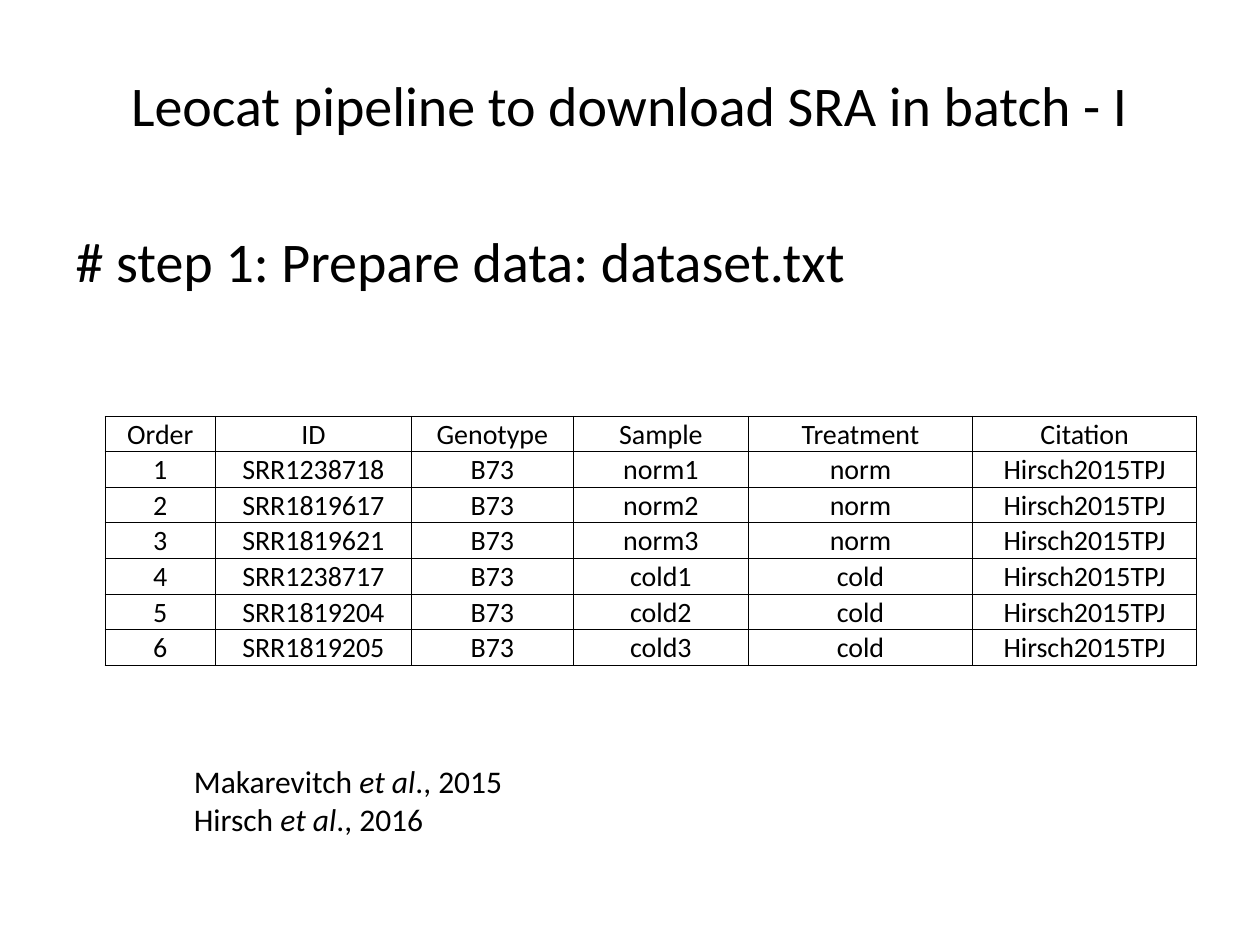
from lxml import etree
from pptx import Presentation
from pptx import util as u
from pptx.dml.color import RGBColor
from pptx.enum import text
from pptx.oxml.ns import qn

Pt = u.Pt
COLORS = {"text": "000000", "border": "000000"}
FONT = "Calibri"


def style(p, size):
    """Give every run of a paragraph the slide's font, size and colour."""
    for r in p.runs:
        r.font.name = FONT
        r.font.size = Pt(size)
        r.font.color.rgb = RGBColor.from_string(COLORS["text"])


def add_borders(cell, width):
    """Draw a solid line on all four sides of a table cell."""
    tcPr = cell._tc.get_or_add_tcPr()
    for side in ("lnL", "lnR", "lnT", "lnB"):
        ln = etree.SubElement(tcPr, qn("a:" + side), w=str(int(Pt(width))))
        fill = etree.SubElement(ln, qn("a:solidFill"))
        etree.SubElement(fill, qn("a:srgbClr"), val=COLORS["border"])


prs = Presentation()
prs.slide_width, prs.slide_height = Pt(720), Pt(540)
s = prs.slides.add_slide(prs.slide_layouts[1])

# Title and step heading
title, step = s.shapes.title, s.placeholders[1]
headings = [
    (title, "Leocat pipeline to download SRA in batch - I", 21.6, 75.6),
    (step, "# step 1: Prepare data: dataset.txt", 126, 54.7),
]
for sp, words, top, height in headings:
    sp.left, sp.top, sp.width, sp.height = Pt(36), Pt(top), Pt(648), Pt(height)
    sp.text_frame.text = words
    style(sp.text_frame.paragraphs[0], 32)
title.text_frame.vertical_anchor = text.MSO_ANCHOR.MIDDLE
title.text_frame.paragraphs[0].alignment = text.PP_ALIGN.CENTER
pPr = step.text_frame.paragraphs[0]._p.get_or_add_pPr()
pPr.set("marL", "0")
pPr.set("indent", "0")
etree.SubElement(pPr, qn("a:buNone"))

# Dataset table
samples = [
    ("SRR1238718", "norm1"),
    ("SRR1819617", "norm2"),
    ("SRR1819621", "norm3"),
    ("SRR1238717", "cold1"),
    ("SRR1819204", "cold2"),
    ("SRR1819205", "cold3"),
]
rows = [("Order", "ID", "Genotype", "Sample", "Treatment", "Citation")]
for order, (run_id, sample) in enumerate(samples, 1):
    rows.append((str(order), run_id, "B73", sample, sample[:-1], "Hirsch2015TPJ"))
col_widths = [63.2, 111.8, 92.7, 100, 128.1, 128.1]
row_height = 18.7
table = s.shapes.add_table(
    len(rows), len(col_widths), Pt(60), Pt(237.8),
    Pt(sum(col_widths)), Pt(row_height * len(rows)),
).table
table.first_row = table.horz_banding = False
for col, width in zip(table.columns, col_widths):
    col.width = Pt(width)
for row, values in zip(table.rows, rows):
    row.height = Pt(row_height)
    for cell, value in zip(row.cells, values):
        cell.text_frame.text = value
        cell.vertical_anchor = text.MSO_ANCHOR.MIDDLE
        cell.margin_left = cell.margin_right = cell.margin_top = Pt(0.75)
        cell.margin_bottom = 0
        add_borders(cell, 0.5)
        cell.fill.background()
        p = cell.text_frame.paragraphs[0]
        p.alignment = text.PP_ALIGN.CENTER
        style(p, 16)

# References
tf = s.shapes.add_textbox(Pt(103.7), Pt(432), Pt(193), Pt(51)).text_frame
tf.word_wrap = False
tf.auto_size = text.MSO_AUTO_SIZE.SHAPE_TO_FIT_TEXT
references = [("Makarevitch ", "2015"), ("Hirsch ", "2016")]
for i, (author, year) in enumerate(references):
    p = tf.add_paragraph() if i else tf.paragraphs[0]
    for words in (author, "et al", "., " + year):
        r = p.add_run()
        r.text = words
        r.font.italic = words == "et al"
    style(p, 18)

prs.save("out.pptx")
